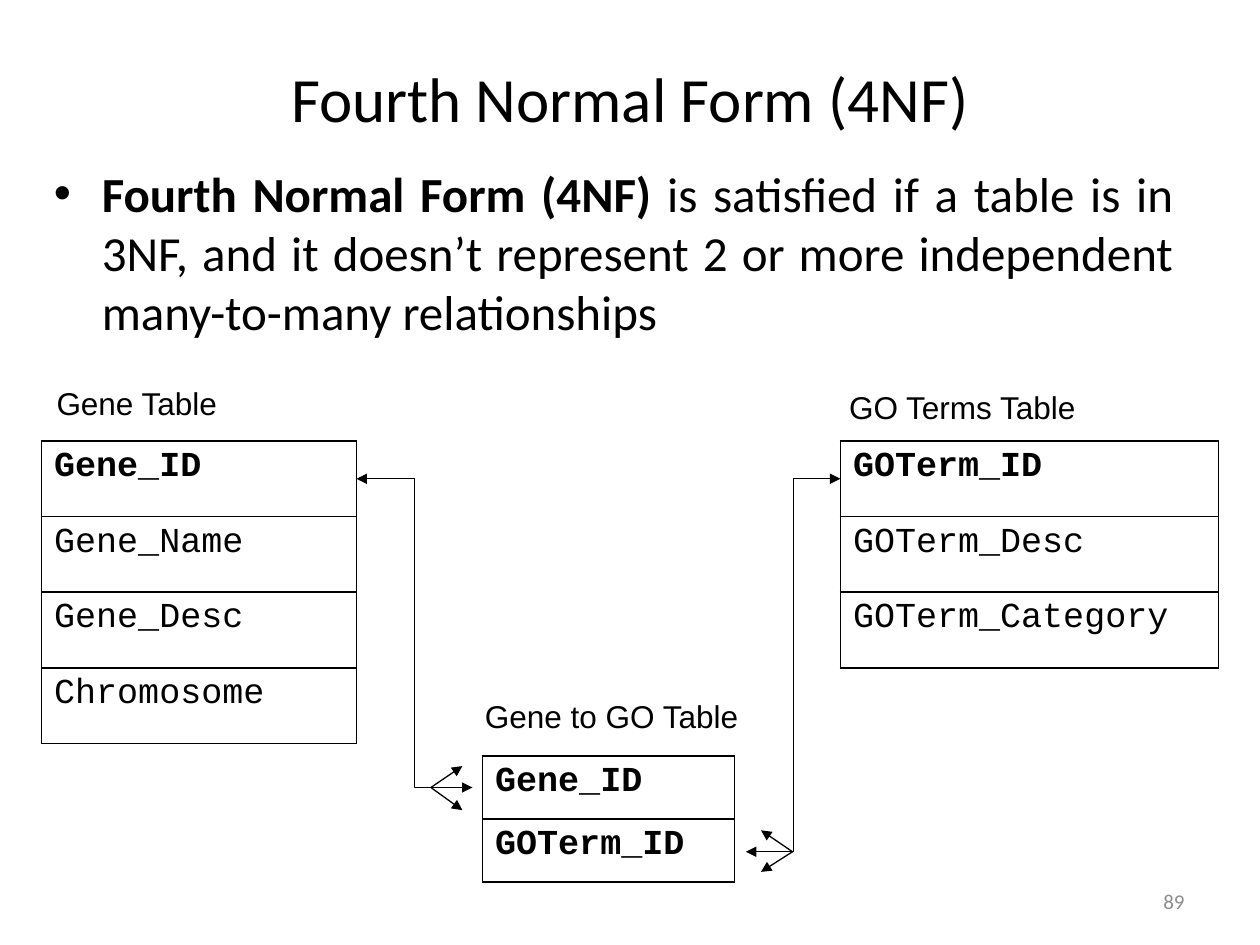
import pptx
import pptx.util
import pptx.dml.color
import pptx.enum.shapes
import pptx.enum.text
import pptx.oxml
import pptx.oxml.ns

Inches, Pt = pptx.util.Inches, pptx.util.Pt
ALIGN = pptx.enum.text.PP_ALIGN
ANCHOR = pptx.enum.text.MSO_ANCHOR
KIND = pptx.enum.shapes.MSO_CONNECTOR
BLACK = pptx.dml.color.RGBColor(0, 0, 0)
GRAY = pptx.dml.color.RGBColor(0x8C, 0x8C, 0x8C)
HANG = 0.38

# Content
TITLE = "Fourth Normal Form (4NF)"
BODY = [
    (TITLE, True),
    (" is satisfied if a table is in 3NF, and it doesn’t represent 2 or more "
     "independent many-to-many relationships", False),
]
# left, top, width, row height, fields as (name, is key)
TABLES = [
    (0.33, 3.5, 2.5, 0.6, [("Gene_ID", True), ("Gene_Name", False),
                           ("Gene_Desc", False), ("Chromosome", False)]),
    (6.67, 3.5, 3, 0.6, [("GOTerm_ID", True), ("GOTerm_Desc", False),
                         ("GOTerm_Category", False)]),
    (3.83, 6, 2, 0.5, [("Gene_ID", True), ("GOTerm_ID", True)]),
]
LABELS = [
    ("Gene to GO Table", (3.75, 5.48, 2.32, 0.4), HANG),
    ("Gene Table", (0.35, 3, 1.49, 0.4), 0),
    ("GO Terms Table", (6.64, 3.03, 2.02, 0.4), 0),
]
# start and end of each link, then the fork: its root and its two tips
LINKS = [
    ((2.83, 3.8), (3.75, 6.25), (3.42, 6.25), [(3.67, 6.43), (3.67, 6.08)]),
    ((6.67, 3.8), (5.92, 6.76), (6.29, 6.76), [(6.04, 6.59), (6.04, 6.92)]),
]

deck = pptx.Presentation()
deck.slide_width, deck.slide_height = Inches(10), Inches(7.5)
slide = deck.slides.add_slide(deck.slide_layouts[6])


def add_xml(parent, text):
    """Append an element of the drawing namespace."""
    space = pptx.oxml.ns.nsdecls("a")
    node = pptx.oxml.parse_xml(text.replace(">", f" {space}>", 1))
    parent.append(node)


def write(frame, runs, size, font="Calibri", color=BLACK, align=ALIGN.LEFT,
          anchor=ANCHOR.TOP, wrap=True, hang=0, bullet=False, before=0):
    """Fill a text frame with one paragraph of (text, bold) runs."""
    frame.word_wrap = wrap
    frame.vertical_anchor = anchor
    para = frame.paragraphs[0]
    para.alignment = align
    para.space_before = Pt(before)
    props = para._p.get_or_add_pPr()
    if hang:
        props.set("marL", str(Inches(hang)))
        props.set("indent", str(-Inches(hang)))
    if bullet:
        add_xml(props, '<a:buFont typeface="Arial"></a:buFont>')
        add_xml(props, '<a:buChar char="•"></a:buChar>')
    for text, bold in runs:
        run = para.add_run()
        run.text = text
        run.font.name, run.font.size = font, Pt(size)
        run.font.bold, run.font.color.rgb = bold, color


def add_text(box, runs, size, **style):
    shape = slide.shapes.add_textbox(*map(Inches, box))
    write(shape.text_frame, runs, size, **style)


def add_table(left, top, width, step, fields):
    grid = slide.shapes.add_table(
        len(fields), 1, *map(Inches, (left, top, width, step * len(fields)))).table
    grid.first_row = grid.horz_banding = False
    for row, field in enumerate(fields):
        grid.rows[row].height = Inches(step)
        cell = grid.cell(row, 0)
        write(cell.text_frame, [field], 20, font="Courier New", hang=HANG)
        props = cell._tc.get_or_add_tcPr()
        for side in "LRTB":
            add_xml(props, f'<a:ln{side} w="12700"><a:solidFill>'
                           f'<a:srgbClr val="{BLACK}"/></a:solidFill></a:ln{side}>')
        cell.fill.background()


def add_line(start, end, kind=KIND.STRAIGHT, both=False):
    line = slide.shapes.add_connector(kind, *map(Inches, start + end))
    line.line.color.rgb, line.line.width = BLACK, Pt(0.75)
    stroke = line.line._get_or_add_ln()
    for tag in ["headEnd", "tailEnd"] if both else ["tailEnd"]:
        add_xml(stroke, f'<a:{tag} type="triangle"></a:{tag}>')
    add_xml(line._element.spPr, "<a:effectLst></a:effectLst>")


# Title and definition
add_text((0.5, 0.3, 9, 0.95), [(TITLE, False)], 36,
         align=ALIGN.CENTER, anchor=ANCHOR.MIDDLE)
add_text((0.33, 1.25, 9.08, 1.67), BODY, 28, align=ALIGN.JUSTIFY,
         hang=HANG, bullet=True, before=5.6)

# Tables
for spec_row in TABLES:
    add_table(*spec_row)

# Links with their many-side forks
for start, end, root, tips in LINKS:
    add_line(start, end, KIND.ELBOW, both=True)
    for tip in tips:
        add_line(root, tip)

# Slide number and table names
add_text((7.17, 6.95, 2.33, 0.4), [("89", False)], 12, color=GRAY,
         align=ALIGN.RIGHT, anchor=ANCHOR.MIDDLE)
for name, box, hang in LABELS:
    add_text(box, [(name, False)], 18, font="Arial", wrap=False, hang=hang)

deck.save("out.pptx")
